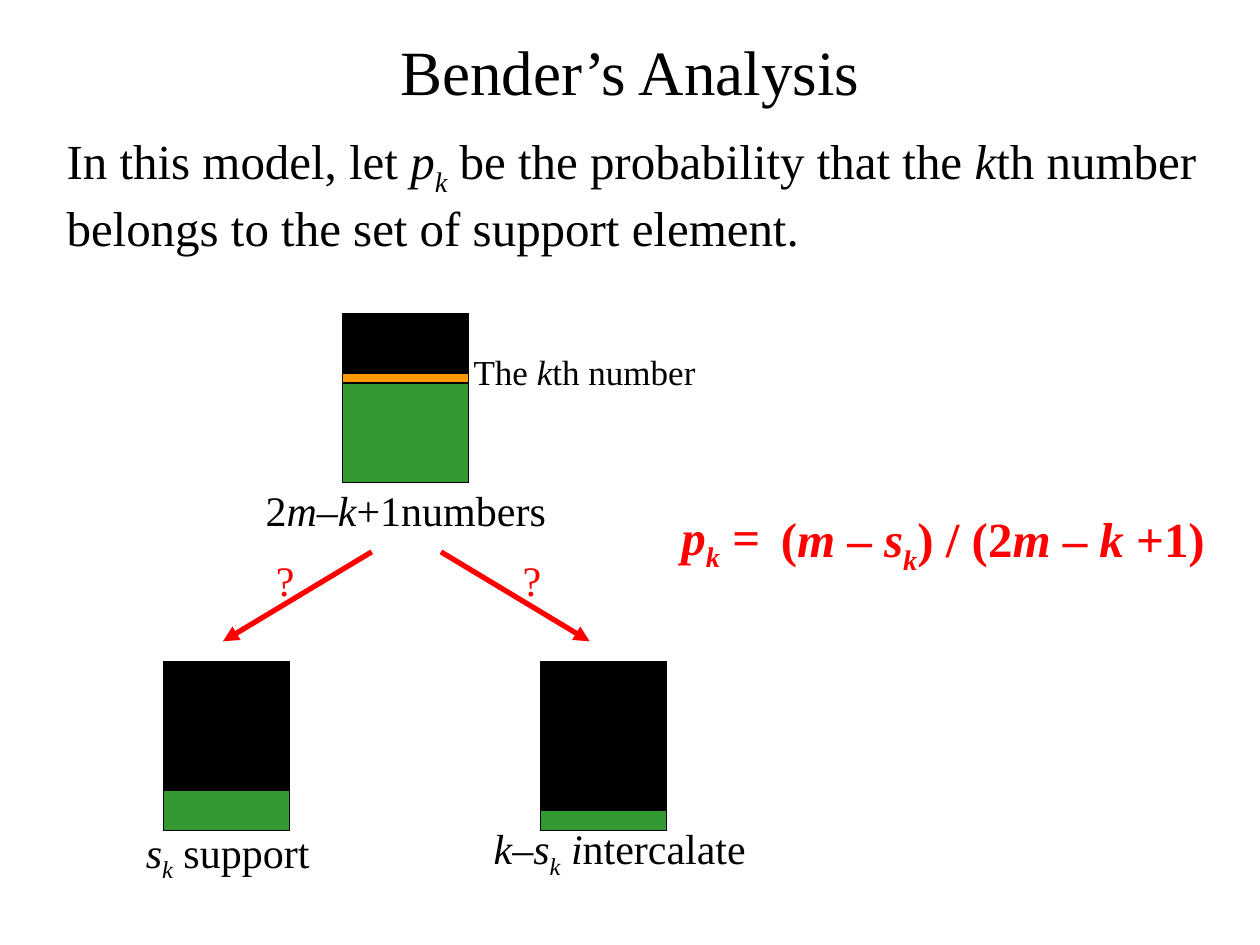
from lxml.etree import SubElement
from pptx import Presentation
from pptx.dml.color import RGBColor
from pptx.enum.shapes import MSO_CONNECTOR, MSO_SHAPE
from pptx.enum.text import MSO_ANCHOR, PP_ALIGN
from pptx.oxml.ns import qn
from pptx.util import Inches, Pt


def color(value):
    return RGBColor.from_string(value)


def add_text(left, top, width, height, size, ink, runs, bold=False):
    box = page.shapes.add_textbox(Inches(left), Inches(top), Inches(width), Inches(height))
    box.text_frame.word_wrap = True
    para = box.text_frame.paragraphs[0]
    for text, style in runs:
        span = para.add_run()
        span.text = text
        span.font.name = "Times New Roman"
        span.font.size = Pt(size)
        span.font.color.rgb = color(ink)
        span.font.bold = bold
        span.font.italic = style in ("italic", "sub")
        if style == "sub":
            span._r.get_or_add_rPr().set("baseline", "-25000")
    return box


BLACK, GREEN, ORANGE, RED = "000000", "339933", "FF9900", "FF0000"

deck = Presentation()
deck.slide_width = Inches(10)
deck.slide_height = Inches(7.5)
page = deck.slides.add_slide(deck.slide_layouts[6])

title = add_text(0.5, 0.05, 9, 1.02, 36, BLACK, [("Bender’s Analysis", "")])
title.text_frame.vertical_anchor = MSO_ANCHOR.MIDDLE
title.text_frame.paragraphs[0].alignment = PP_ALIGN.CENTER

add_text(0.43, 0.99, 9.29, 1.1, 28, BLACK, [
    ("In this model, let ", ""), ("p", "italic"), ("k", "sub"),
    (" be the probability that the ", ""), ("k", "italic"),
    ("th number belongs to the set of support element.", ""),
])

stack_height = 1.34
stacks = [
    (2.72, 2.49, 0.87),
    (1.3, 5.25, 0.32),
    (4.29, 5.25, 0.16),
]
bars = []
for left, top, green_height in stacks:
    bars.append((left, top, stack_height, BLACK))
    bars.append((left, top + stack_height - green_height, green_height, GREEN))
bars.append((2.72, 2.96, 0.08, ORANGE))

for left, top, height, fill in bars:
    bar = page.shapes.add_shape(
        MSO_SHAPE.RECTANGLE, Inches(left), Inches(top), Inches(1), Inches(height))
    bar.shadow.inherit = False
    bar.fill.solid()
    bar.fill.fore_color.rgb = color(fill)
    bar.line.color.rgb = color(BLACK)
    bar.line.width = Pt(0.75)

for start, end, mark_left in [(2.95, 1.77, 2.09), (3.5, 4.68, 4.05)]:
    arrow = page.shapes.add_connector(
        MSO_CONNECTOR.STRAIGHT, Inches(start), Inches(4.38), Inches(end), Inches(5.09))
    arrow.line.color.rgb = color(RED)
    arrow.line.width = Pt(3)
    SubElement(arrow.line._get_or_add_ln(), qn("a:tailEnd"), type="triangle")
    SubElement(arrow._element.spPr, qn("a:effectLst"))
    add_text(mark_left, 4.35, 0.39, 0.5, 24, RED, [("?", "")])

add_text(3.66, 2.73, 2.52, 0.44, 20, BLACK, [
    ("The ", ""), ("k", "italic"), ("th number", ""),
])
add_text(2.01, 3.8, 2.52, 0.5, 24, BLACK, [
    ("2", ""), ("m", "italic"), ("–", ""), ("k", "italic"), ("+1numbers", ""),
])
add_text(1.06, 6.51, 1.73, 0.56, 24, BLACK, [
    ("s", "italic"), ("k", "sub"), (" support", ""),
])
add_text(3.82, 6.48, 2.29, 0.56, 24, BLACK, [
    ("k–s", "italic"), ("k", "sub"), (" i", "italic"), ("ntercalate", ""),
])
add_text(5.31, 3.97, 0.95, 0.63, 28, RED, [
    ("p", "italic"), ("k", "sub"), (" =", ""),
], bold=True)
add_text(6.1, 3.99, 3.7, 0.63, 28, RED, [
    ("(", ""), ("m", "italic"), (" – ", ""), ("s", "italic"), ("k", "sub"),
    (") / (2", ""), ("m", "italic"), (" – ", ""), ("k", "italic"), (" +1)", ""),
], bold=True)

deck.save("out.pptx")
